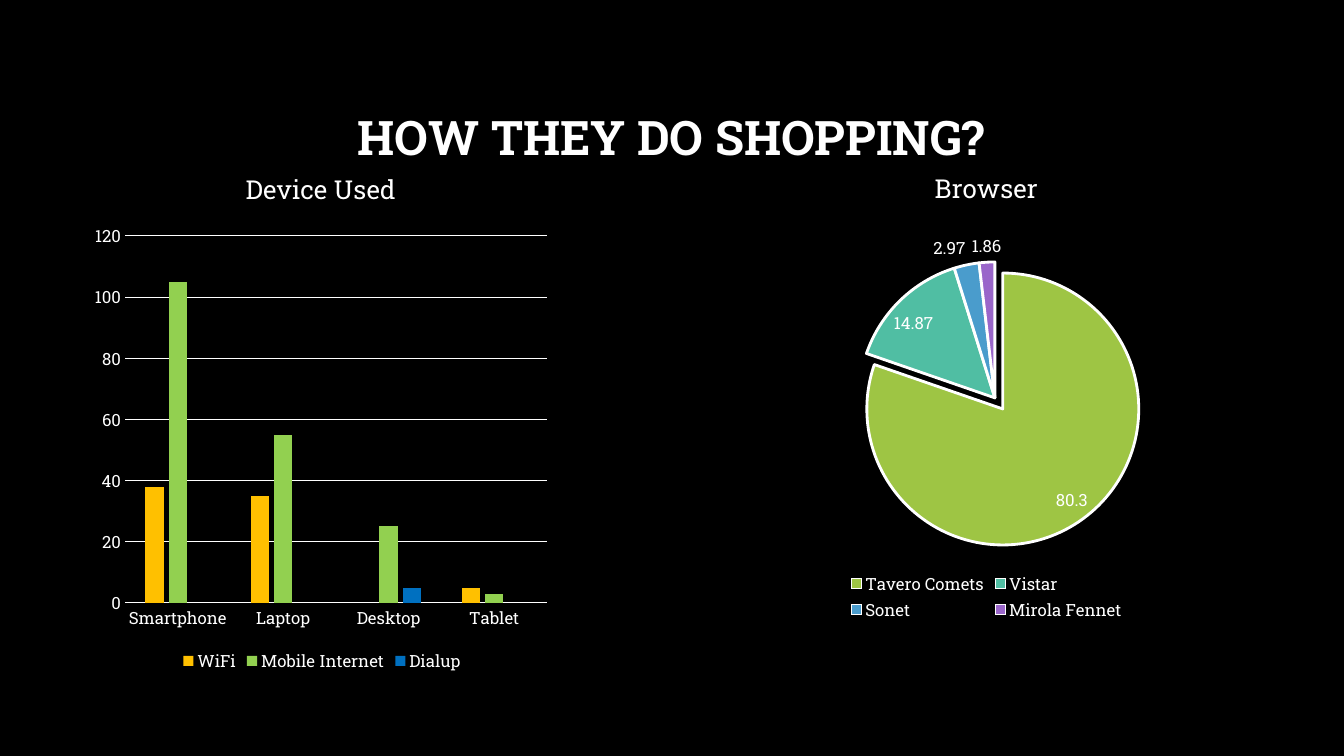
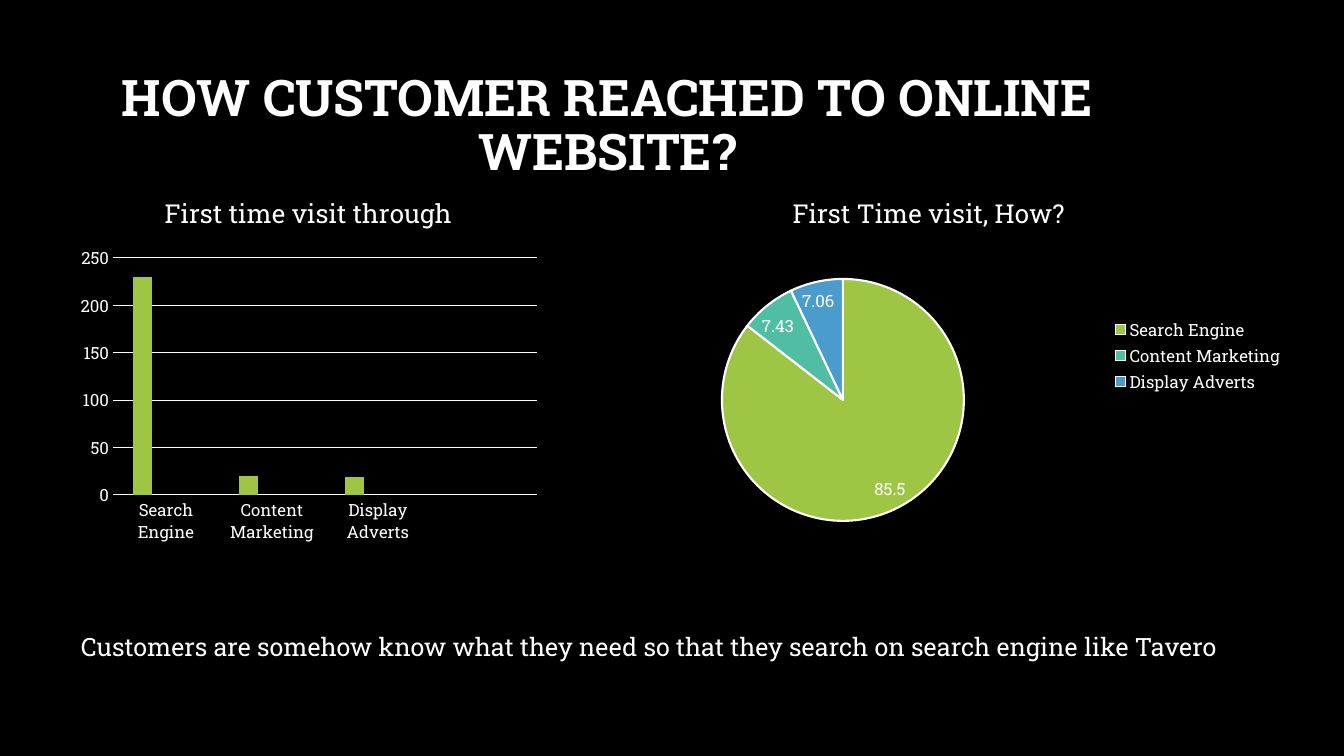
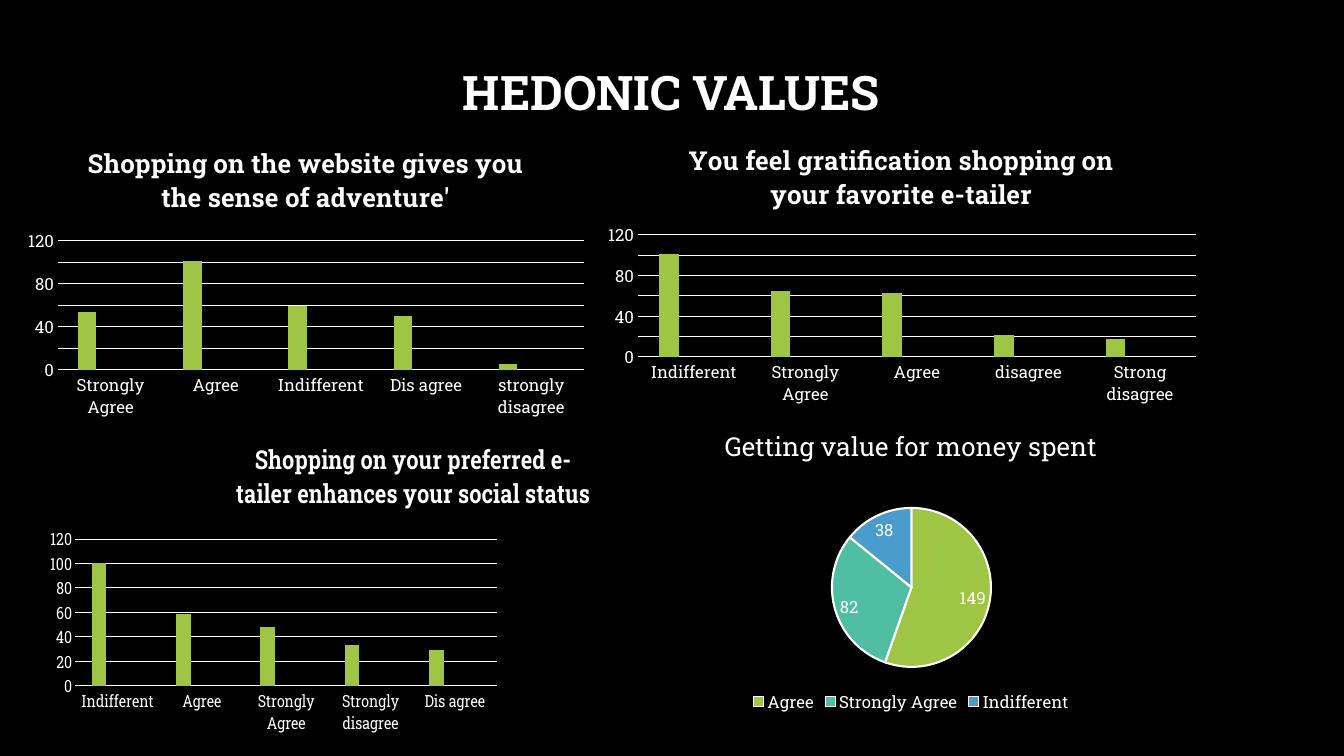
from pptx import Presentation
from pptx.chart.data import CategoryChartData
from pptx.dml.color import RGBColor
from pptx.enum.chart import (XL_CHART_TYPE, XL_LABEL_POSITION,
                             XL_LEGEND_POSITION, XL_TICK_MARK)
from pptx.enum.text import MSO_ANCHOR, PP_ALIGN
from pptx.oxml import parse_xml
from pptx.oxml.ns import nsdecls, qn
from pptx.util import Emu, Pt

COLUMN, PIE = XL_CHART_TYPE.COLUMN_CLUSTERED, XL_CHART_TYPE.PIE
BEST = XL_LABEL_POSITION.BEST_FIT
BOTTOM, RIGHT = XL_LEGEND_POSITION.BOTTOM, XL_LEGEND_POSITION.RIGHT
NO_TICK = XL_TICK_MARK.NONE
MIDDLE, CENTER = MSO_ANCHOR.MIDDLE, PP_ALIGN.CENTER

BLACK = RGBColor(0x00, 0x00, 0x00)
WHITE = RGBColor(0xFF, 0xFF, 0xFF)
GREEN = RGBColor(0x9E, 0xC5, 0x44)
TEAL = RGBColor(0x50, 0xBE, 0xA3)
BLUE = RGBColor(0x4A, 0x9C, 0xCC)
PURPLE = RGBColor(0x9A, 0x66, 0xCA)
AMBER = RGBColor(0xFF, 0xC0, 0x00)
LIME = RGBColor(0x92, 0xD0, 0x50)
NAVY = RGBColor(0x00, 0x70, 0xC0)
THEME = (GREEN, TEAL, BLUE, PURPLE)

FACE = "Roboto Slab"
PX = 914400 / 100.8
WIDTH, HEIGHT = 1344, 756


def px(*sizes):
    return [Emu(round(size * PX)) for size in sizes]


def style(font, size, bold=False):
    font.name, font.size, font.bold = FACE, Pt(size), bold
    font.color.rgb = WHITE


def place(box, spot, target=""):
    """Manual layout of a chart part, as fractions of the chart's box."""
    left, top, wide, high = box
    parts = {"x": (spot[0] - left) / wide, "y": (spot[1] - top) / high}
    if len(spot) == 4:
        parts.update(w=spot[2] / wide, h=spot[3] / high)
    rows = "".join(f'<c:{key} val="{val:.4f}"/>' for key, val in parts.items())
    return parse_xml(
        f'<c:layout {nsdecls("c")}><c:manualLayout>{target}'
        f'<c:xMode val="edge"/><c:yMode val="edge"/>{rows}'
        '</c:manualLayout></c:layout>')


def clear():
    """Shape properties without fill or line."""
    return parse_xml(f'<c:spPr {nsdecls("c", "a")}><a:noFill/>'
                     '<a:ln><a:noFill/></a:ln></c:spPr>')


def drop(node, tag):
    old = node.find(qn(tag))
    if old is not None:
        node.remove(old)


class Deck:
    def __init__(self):
        self.prs = Presentation()
        self.prs.slide_width, self.prs.slide_height = px(WIDTH, HEIGHT)
        self.slide = None

    def page(self):
        self.slide = self.prs.slides.add_slide(self.prs.slide_layouts[6])
        fill = self.slide.background.fill
        fill.solid()
        fill.fore_color.rgb = BLACK

    def text(self, box, words, size, bold=False, wrap=False):
        frame = self.slide.shapes.add_textbox(*px(*box)).text_frame
        frame.word_wrap = wrap
        frame.text = words
        style(frame.paragraphs[0].runs[0].font, size, bold)
        return frame

    def title(self, box, words, size=34):
        frame = self.text(box, words, size, True, True)
        frame.vertical_anchor = MIDDLE
        frame.paragraphs[0].alignment = CENTER
        frame.paragraphs[0].line_spacing = 0.9

    def chart(self, kind, box, head, spot, plot, cats, rows, legend, bold):
        """Chart with its heading at spot and its inner plot area at plot."""
        data = CategoryChartData()
        data.categories = cats
        for name, vals in rows.items():
            data.add_series(name, vals)
        chart = self.slide.shapes.add_chart(kind, *px(*box), data).chart
        style(chart.font, 10)
        root = chart.element
        root.find(qn("c:txPr")).addprevious(clear())

        chart.has_title = True
        frame = chart.chart_title.text_frame
        frame.text = head
        style(frame.paragraphs[0].runs[0].font, 18.6, bold)
        node = root.chart.find(qn("c:title"))
        drop(node, "c:layout")
        node.find(qn("c:tx")).addnext(place(box, spot))

        area = root.chart.plotArea
        drop(area, "c:layout")
        area.insert(0, place(box, plot, '<c:layoutTarget val="inner"/>'))
        area.append(clear())

        chart.has_legend = legend is not None
        if legend is not None:
            chart.legend.position = legend
            chart.legend.include_in_layout = False
            style(chart.legend.font, 12)
        return chart

    def columns(self, box, head, spot, plot, cats, rows, top, step,
                colors=THEME, legend=None, bold=False):
        chart = self.chart(COLUMN, box, head, spot, plot, cats, rows,
                           legend, bold)
        bars = chart.plots[0]
        bars.gap_width, bars.overlap = 219, -27
        bars.vary_by_categories = False
        for row, color in zip(bars.series, colors):
            row.format.fill.solid()
            row.format.fill.fore_color.rgb = color
        base, scale = chart.category_axis, chart.value_axis
        for axis in (base, scale):
            axis.major_tick_mark = axis.minor_tick_mark = NO_TICK
            style(axis.tick_labels.font, 12)
        scale.minimum_scale, scale.maximum_scale = 0, top
        scale.major_unit = step
        scale.format.line.fill.background()
        for line in (base.format.line, scale.major_gridlines.format.line):
            line.color.rgb, line.width = WHITE, Pt(0.75)

    def single(self, box, head, spot, plot, cats, vals, top=120, step=20,
               bold=True):
        """Columns of one filled series beside two empty ones."""
        gaps = [None] * len(cats)
        rows = {"Series 1": vals, "Series 2": gaps, "Series 3": gaps}
        self.columns(box, head, spot, plot, cats, rows, top, step, bold=bold)

    def pie(self, box, head, spot, plot, cats, vals, legend=BOTTOM, burst=0,
            edge=1.5):
        chart = self.chart(PIE, box, head, spot, plot, cats, {head: vals},
                           legend, False)
        pie = chart.plots[0]
        pie.vary_by_categories = True
        for num, color in enumerate(THEME[:len(cats)]):
            form = pie.series[0].points[num].format
            form.fill.solid()
            form.fill.fore_color.rgb = color
            form.line.color.rgb, form.line.width = WHITE, Pt(edge)
        if burst:
            first = next(chart.element.iter(qn("c:dPt")))
            first.find(qn("c:spPr")).addprevious(parse_xml(
                f'<c:explosion {nsdecls("c")} val="{burst}"/>'))
        labels = pie.series[0].data_labels
        labels.show_value = True
        labels.position = BEST
        style(labels.font, 12)


def shopping(deck):
    deck.page()
    deck.title((101, 67, 1141, 146), "HOW THEY DO SHOPPING?")
    deck.columns((86, 148, 472, 528), "Device Used", (241, 164),
                 (125, 236, 422, 367),
                 ["Smartphone", "Laptop", "Desktop", "Tablet"],
                 {"WiFi": [38, 35, None, 5],
                  "Mobile Internet": [105, 55, 25, 3],
                  "Dialup": [None, None, 5, None]},
                 120, 20, (AMBER, LIME, NAVY), BOTTOM)
    deck.pie((724, 148, 525, 477), "Browser", (930, 163),
             (859, 262, 272, 272),
             ["Tavero Comets", "Vistar", "Sonet", "Mirola Fennet"],
             [80.3, 14.87, 2.97, 1.86], burst=10, edge=2)


def reached(deck):
    deck.page()
    deck.title((71, 50, 1073, 154),
               "HOW CUSTOMER REACHED TO ONLINE WEBSITE?", 36)
    cats = ["Search Engine", "Content Marketing", "Display Adverts"]
    deck.single((72, 176, 475, 374), "First time visit through", (160, 188),
                (113, 258, 424, 237), cats + [""], [230, 20, 19, None],
                250, 50, False)
    deck.pie((564, 176, 730, 359), "First Time visit, How?", (788, 188),
             (722, 279, 242, 242), cats, [85.5, 7.43, 7.06], RIGHT)
    deck.text((71, 626, 1211, 40),
              "Customers are somehow know what they need so that they "
              "search on search engine like Tavero", 18)


def hedonic(deck):
    deck.page()
    deck.title((101, 22, 1141, 146), "HEDONIC VALUES")
    deck.single((16, 127, 580, 296),
                "Shopping on the website gives you the sense of adventure'",
                (83, 138), (58, 241, 526, 129),
                ["Strongly Agree", "Agree", "Indifferent", "Dis agree",
                 "strongly disagree"], [54, 101, 59, 50, 5])
    deck.single((596, 127, 612, 283),
                "You feel gratification shopping on your favorite e-tailer",
                (684, 135), (638, 235, 558, 122),
                ["Indifferent", "Strongly Agree", "Agree", "disagree",
                 "Strong disagree"], [101, 65, 63, 22, 18])
    deck.single((41, 431, 554, 308),
                "Shopping on your preferred e-tailer enhances your "
                "social status", (268, 434), (82, 539, 501, 147),
                ["Indifferent", "Agree", "Strongly Agree",
                 "Strongly disagree", "Dis agree"],
                [100, 59, 48, 33, 29])
    deck.pie((614, 409, 594, 308), "Getting value for money spent",
             (720, 421), (832, 508, 159, 159),
             ["Agree", "Strongly Agree", "Indifferent"], [149, 82, 38])


def main():
    deck = Deck()
    for build in (shopping, reached, hedonic):
        build(deck)
    deck.prs.save("out.pptx")


if __name__ == "__main__":
    main()
